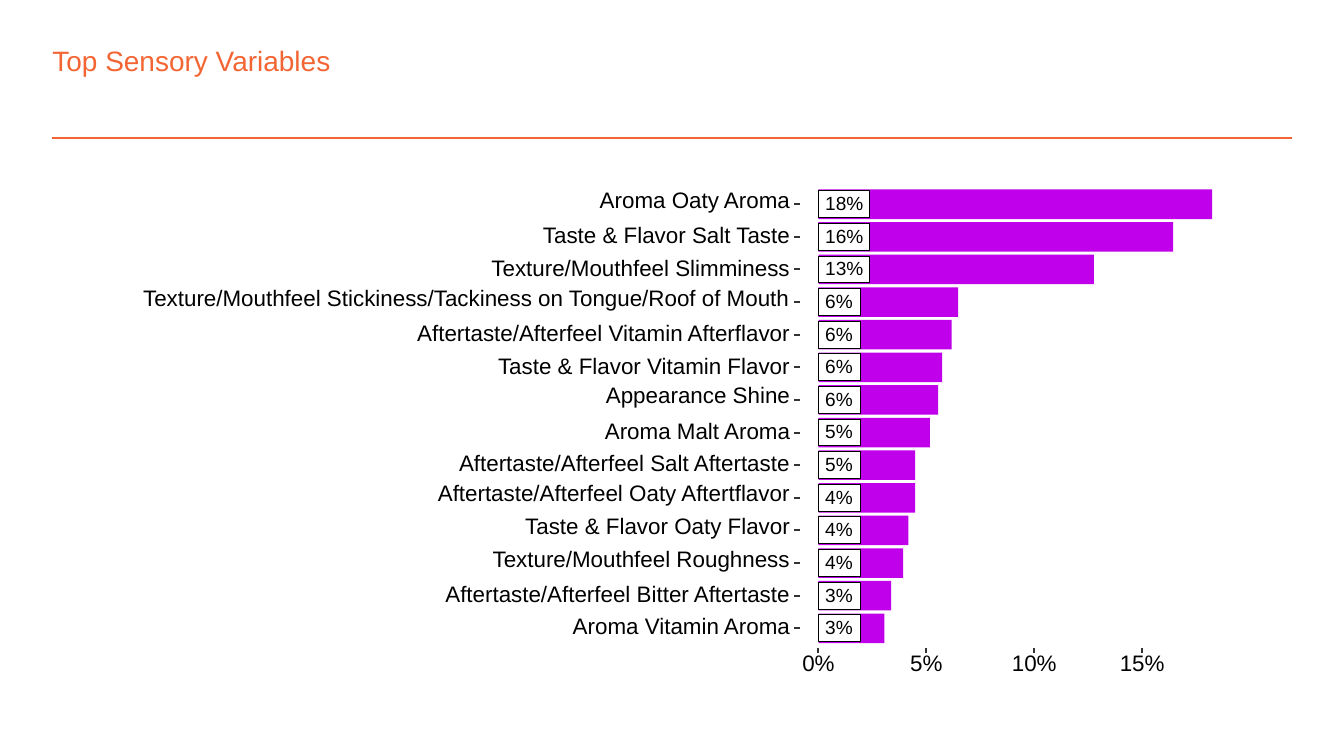
from lxml import etree
from pptx import Presentation
from pptx.dml.color import RGBColor
from pptx.enum.shapes import MSO_CONNECTOR, MSO_SHAPE
from pptx.enum.text import MSO_ANCHOR, MSO_AUTO_SIZE, PP_ALIGN
from pptx.oxml.ns import qn
from pptx.util import Pt

RECTANGLE = MSO_SHAPE.RECTANGLE
STRAIGHT = MSO_CONNECTOR.STRAIGHT
MIDDLE = MSO_ANCHOR.MIDDLE
LEFT, CENTER, RIGHT = PP_ALIGN.LEFT, PP_ALIGN.CENTER, PP_ALIGN.RIGHT

PX = 9144  # EMU per px, 100 px to the inch
ORANGE, PURPLE, WHITE, BLACK, GREY = "F36633", "C000EB", "FFFFFF", "000000", "333333"
color = RGBColor.from_string

AXIS_X = 609
PX_PER_PERCENT = 16.06
FIRST_ROW_Y = 152
ROW_PITCH = 24.27
LABEL_RIGHT = 588

# variable, label width, bar length, share
ROWS = [
    ("Aroma Oaty Aroma", 143, 293, "18%"),
    ("Taste & Flavor Salt Taste", 188, 264, "16%"),
    ("Texture/Mouthfeel Slimminess", 224, 205, "13%"),
    ("Texture/Mouthfeel Stickiness/Tackiness on Tongue/Roof of Mouth", 487, 104, "6%"),
    ("Aftertaste/Afterfeel Vitamin Afterflavor", 279, 99, "6%"),
    ("Taste & Flavor Vitamin Flavor", 220, 92, "6%"),
    ("Appearance Shine", 137, 89, "6%"),
    ("Aroma Malt Aroma", 139, 83, "5%"),
    ("Aftertaste/Afterfeel Salt Aftertaste", 247, 72, "5%"),
    ("Aftertaste/Afterfeel Oaty Aftertflavor", 263, 72, "4%"),
    ("Taste & Flavor Oaty Flavor", 199, 67, "4%"),
    ("Texture/Mouthfeel Roughness", 223, 63, "4%"),
    ("Aftertaste/Afterfeel Bitter Aftertaste", 258, 54, "3%"),
    ("Aroma Vitamin Aroma", 163, 49, "3%"),
]

presentation = Presentation()
presentation.slide_width = 1000 * PX
presentation.slide_height = int(562.5 * PX)
slide = presentation.slides.add_slide(presentation.slide_layouts[5])


def add_box(left, top, width, height, fill, line=None, line_width=1):
    shape = slide.shapes.add_shape(RECTANGLE, *[round(n * PX) for n in (left, top, width, height)])
    shape.shadow.inherit = False
    shape.fill.solid()
    shape.fill.fore_color.rgb = color(fill)
    if line:
        shape.line.color.rgb = color(line)
        shape.line.width = Pt(line_width)
    else:
        shape.line.fill.background()


title = slide.shapes.title
title.left, title.top, title.width, title.height = [n * PX for n in (39, 32, 829, 25)]
title.text_frame.text = "Top Sensory Variables"

add_box(75, 130, 850, 400, WHITE, WHITE, 1.07)

# left, top, width, height, text, size, alignment
texts = []
# start x, start y, end x, end y, colour, width
lines = [(39, 103, 961, 103, ORANGE, 1)]

for index, (label, label_width, bar_length, share) in enumerate(ROWS):
    center = FIRST_ROW_Y + index * ROW_PITCH
    digits = len(share) - 1
    add_box(AXIS_X, center - 11, bar_length, 22, PURPLE)
    add_box(AXIS_X, center - 10, 24 + 7 * digits, 20, WHITE, BLACK, 0.53)
    texts.append((AXIS_X + 5, center - 5, 14 + 7 * digits, 11, share, 10.2, LEFT))

    # Labels with descenders have taller boxes
    has_descender = any(letter in "gpy" for letter in label)
    rise, height = (10, 16) if has_descender else (6, 12)
    texts.append((LABEL_RIGHT - label_width, center - rise, label_width, height, label, 12, RIGHT))
    lines.append((591, center, 595, center, GREY, 1.07))

for percent in range(0, 20, 5):
    x = AXIS_X + percent * PX_PER_PERCENT
    label_width = 24 if percent < 10 else 33
    texts.append((x - label_width / 2, 488, label_width, 13, f"{percent}%", 12, CENTER))
    lines.append((x, 486, x, 482, GREY, 1.07))

for *ends, line_color, line_width in lines:
    connector = slide.shapes.add_connector(STRAIGHT, *[round(n * PX) for n in ends])
    connector.line.color.rgb = color(line_color)
    connector.line.width = Pt(line_width)
    etree.SubElement(connector._element.spPr, qn("a:effectLst"))

styled_texts = [(title, 15, LEFT, ORANGE)]
for *bounds, text, size, alignment in texts:
    text_box = slide.shapes.add_textbox(*[round(n * PX) for n in bounds])
    text_box.text_frame.text = text
    text_box.text_frame.word_wrap = False
    text_box.text_frame.paragraphs[0].line_spacing = Pt(size)
    styled_texts.append((text_box, size, alignment, BLACK))

for shape, size, alignment, text_color in styled_texts:
    frame = shape.text_frame
    frame.margin_left = frame.margin_top = frame.margin_right = frame.margin_bottom = 0
    frame.vertical_anchor = MIDDLE
    frame.auto_size = MSO_AUTO_SIZE.NONE
    paragraph = frame.paragraphs[0]
    paragraph.alignment = alignment
    font = paragraph.runs[0].font
    font.name = "Arial"
    font.size = Pt(size)
    font.color.rgb = color(text_color)

presentation.save("out.pptx")
